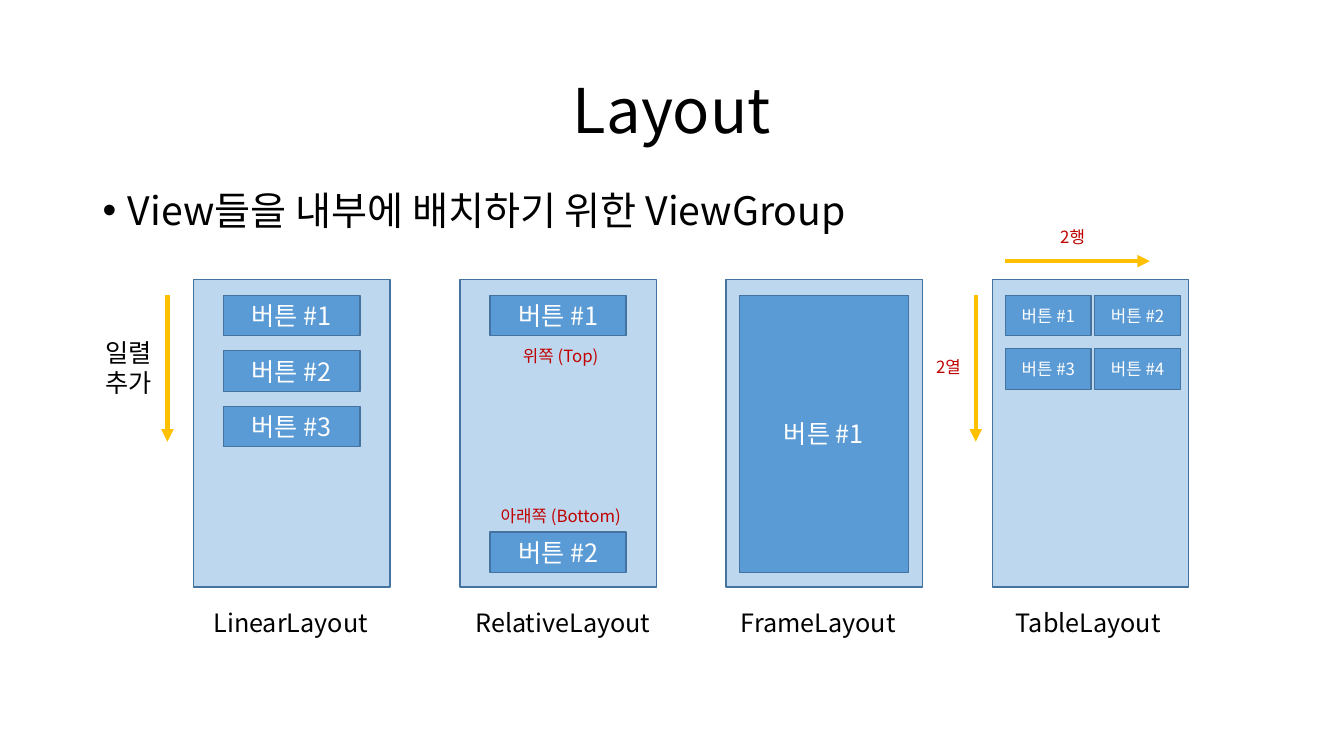
from lxml import etree
from pptx import Presentation
from pptx.dml.color import RGBColor
from pptx.enum.shapes import MSO_CONNECTOR, MSO_SHAPE
from pptx.enum.text import MSO_ANCHOR, PP_ALIGN
from pptx.oxml.ns import qn
from pptx.util import Cm, Pt

RECTANGLE = MSO_SHAPE.RECTANGLE
STRAIGHT = MSO_CONNECTOR.STRAIGHT
LEFT, CENTER = PP_ALIGN.LEFT, PP_ALIGN.CENTER
TOP, MIDDLE = MSO_ANCHOR.TOP, MSO_ANCHOR.MIDDLE

FONT = "Noto Sans CJK KR"
BLACK, WHITE, RED = "000000", "FFFFFF", "C00000"
SCREEN_BLUE, BUTTON_BLUE, OUTLINE_BLUE, AMBER = "BDD7EE", "5B9BD5", "43739E", "FFC000"

# Layout grid in centimetres
SCREEN_LEFTS = [4.88 + 6.71 * column for column in range(4)]
SCREEN_TOP, SCREEN_WIDTH, SCREEN_HEIGHT = 7.04, 4.95, 7.75
BUTTON_TOP, BUTTON_WIDTH, BUTTON_HEIGHT = 7.44, 3.43, 1.02
BUTTON_INSET = 0.76
CELL_WIDTH, CELL_INSET = 2.16, 0.33
ARROW_BOTTOM = 11.13


def color(hex_code):
    return RGBColor.from_string(hex_code)


def place(shape, left, top, width, height):
    shape.left, shape.top = Cm(left), Cm(top)
    shape.width, shape.height = Cm(width), Cm(height)


def write_text(shape, text, size=18, fill=BLACK, align=LEFT, anchor=TOP, wrap=True):
    frame = shape.text_frame
    frame.word_wrap = wrap
    frame.vertical_anchor = anchor
    paragraph = frame.paragraphs[0]
    paragraph.alignment = align
    run = paragraph.add_run()
    run.text = text
    run.font.size = Pt(size)
    run.font.name = FONT
    run.font.color.rgb = color(fill)
    east_asian = etree.SubElement(run.font._element, qn("a:ea"))
    east_asian.set("typeface", FONT)
    return paragraph


def add_rectangle(slide, left, top, width, height, fill):
    shape = slide.shapes.add_shape(RECTANGLE, Cm(left), Cm(top), Cm(width), Cm(height))
    shape.shadow.inherit = False
    shape.fill.solid()
    shape.fill.fore_color.rgb = color(fill)
    shape.line.color.rgb = color(OUTLINE_BLUE)
    shape.line.width = Pt(1)
    return shape


def add_button(slide, number, left, top, width=BUTTON_WIDTH, height=BUTTON_HEIGHT, size=18):
    shape = add_rectangle(slide, left, top, width, height, BUTTON_BLUE)
    write_text(shape, f"버튼 #{number}", size=size, fill=WHITE, align=CENTER, anchor=MIDDLE)


def add_label(slide, text, left, top, width, height, **text_format):
    shape = slide.shapes.add_textbox(Cm(left), Cm(top), Cm(width), Cm(height))
    write_text(shape, text, **text_format)


def add_arrow(slide, start_x, start_y, end_x, end_y):
    arrow = slide.shapes.add_connector(STRAIGHT, Cm(start_x), Cm(start_y), Cm(end_x), Cm(end_y))
    arrow.line.color.rgb = color(AMBER)
    arrow.line.width = Pt(3)
    etree.SubElement(arrow.line._get_or_add_ln(), qn("a:tailEnd")).set("type", "triangle")
    etree.SubElement(arrow._element.spPr, qn("a:effectLst"))


def add_heading(slide):
    title, body = slide.placeholders
    place(title, 2.33, 1.01, 29.21, 3.68)
    write_text(title, "Layout", size=44, align=CENTER, anchor=MIDDLE).line_spacing = 0.9

    place(body, 2.33, 4.69, 29.21, 12.48)
    paragraph = write_text(body, "View들을 내부에 배치하기 위한 ViewGroup", size=28)
    paragraph.line_spacing = 0.9
    paragraph.space_before = Pt(10)
    properties = paragraph._element.get_or_add_pPr()
    properties.set("marL", str(Cm(0.64)))
    properties.set("indent", str(-Cm(0.64)))
    etree.SubElement(properties, qn("a:buFont")).set("typeface", "Arial")
    etree.SubElement(properties, qn("a:buChar")).set("char", "•")


def add_screens(slide):
    captions = [("LinearLayout", 5.13, 4.42), ("RelativeLayout", 11.73, 4.93),
                ("FrameLayout", 18.42, 4.67), ("TableLayout", 25.35, 4.34)]
    for screen_left, (name, left, width) in zip(SCREEN_LEFTS, captions):
        add_rectangle(slide, screen_left, SCREEN_TOP, SCREEN_WIDTH, SCREEN_HEIGHT, SCREEN_BLUE)
        add_label(slide, name, left, 15.19, width, 1.02, wrap=False)


def add_linear_layout(slide, left):
    for index in range(3):
        add_button(slide, index + 1, left + BUTTON_INSET, BUTTON_TOP + 1.4 * index)
    add_arrow(slide, 4.22, BUTTON_TOP, 4.22, ARROW_BOTTOM)
    add_label(slide, "일렬추가", 2.41, 8.38, 1.88, 1.8)


def add_relative_layout(slide, left):
    for number, top in ((1, BUTTON_TOP), (2, 13.41)):
        add_button(slide, number, left + BUTTON_INSET, top)
    add_label(slide, "위쪽 (Top)", 12.93, 8.59, 2.79, 0.76, size=12, fill=RED, wrap=False)
    add_label(slide, "아래쪽 (Bottom)", 12.37, 12.62, 3.66, 0.76, size=12, fill=RED, wrap=False)


def add_frame_layout(slide, left):
    add_button(slide, 1, left + CELL_INSET, BUTTON_TOP, width=4.27, height=6.99)


def add_table_layout(slide, left):
    first_left = left + CELL_INSET
    for index in range(4):
        row, column = divmod(index, 2)
        add_button(slide, index + 1, first_left + 2.25 * column, BUTTON_TOP + 1.35 * row,
                   width=CELL_WIDTH, size=12)
    add_arrow(slide, 24.59, BUTTON_TOP, 24.59, ARROW_BOTTOM)
    add_arrow(slide, first_left, 6.58, 28.98, 6.58)
    add_label(slide, "2행", 26.47, 5.59, 1.4, 0.76, size=12, fill=RED, wrap=False)
    add_label(slide, "2열", 23.34, 8.86, 1.4, 0.76, size=12, fill=RED, wrap=False)


def main():
    presentation = Presentation()
    presentation.slide_width, presentation.slide_height = Cm(33.87), Cm(19.05)
    slide = presentation.slides.add_slide(presentation.slide_layouts[1])

    add_heading(slide)
    add_screens(slide)

    # Contents of each screen, left to right
    builders = [add_linear_layout, add_relative_layout, add_frame_layout, add_table_layout]
    for add_contents, left in zip(builders, SCREEN_LEFTS):
        add_contents(slide, left)

    presentation.save("out.pptx")


if __name__ == "__main__":
    main()
